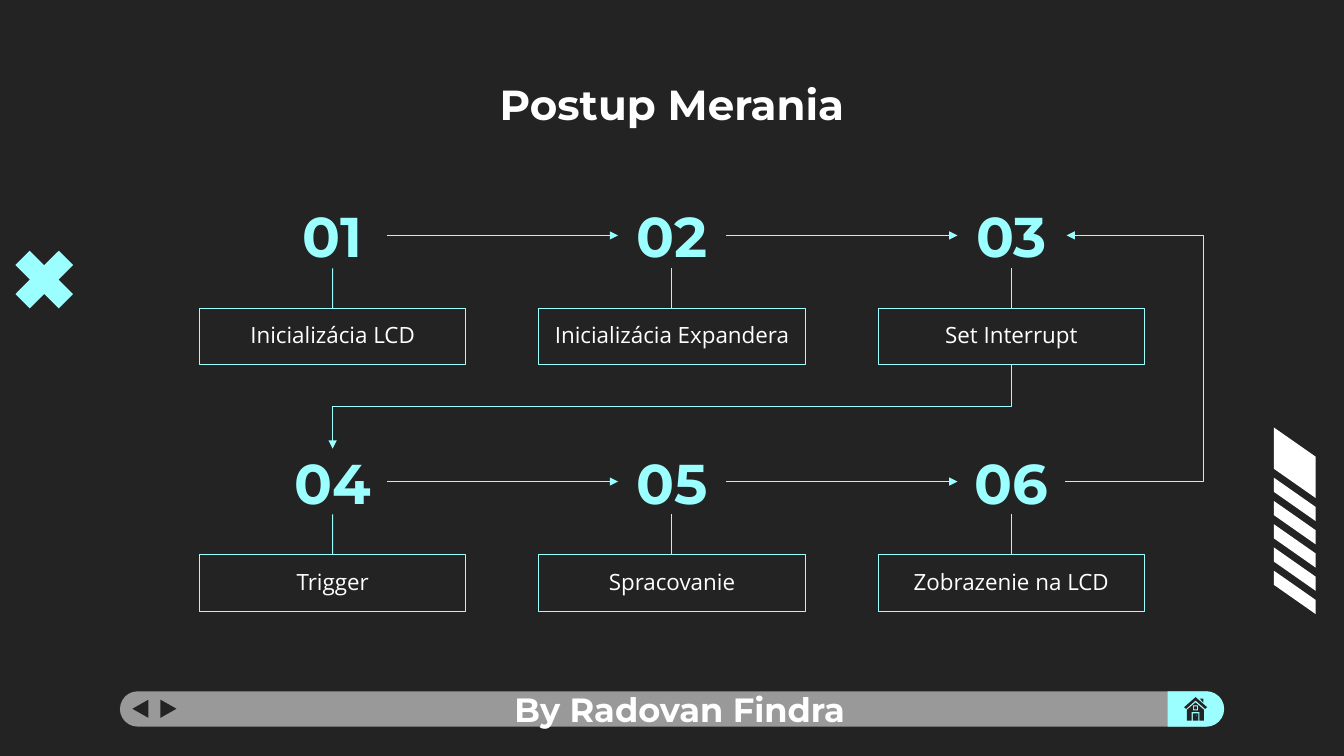
"""Build the measurement procedure slide: six numbered steps joined by arrows."""
import pptx
import pptx.dml.color
import pptx.enum.shapes
import pptx.enum.text
import pptx.oxml
import pptx.oxml.ns
import pptx.util

Pt = pptx.util.Pt
SHAPE = pptx.enum.shapes.MSO_SHAPE
CONNECTOR = pptx.enum.shapes.MSO_CONNECTOR
ANCHOR = pptx.enum.text.MSO_ANCHOR
COLORS = {"dark": "232323", "cyan": "9CFFFF", "grey": "999999", "white": "FFFFFF"}
FORMATS = {
    "title": {"name": "Montserrat", "size": Pt(30), "bold": True},
    "number": {"name": "Montserrat", "size": Pt(40), "bold": True},
    "label": {"name": "Open Sans", "size": Pt(16), "bold": False},
    "author": {"name": "Montserrat", "size": Pt(24), "bold": True},
}
STEPS = ["Inicializácia LCD", "Inicializácia Expandera", "Set Interrupt",
         "Trigger", "Spracovanie", "Zobrazenie na LCD"]
CENTER, COLUMN_STEP, ROW_STEP = 480, 242.4, 175.8
NUMBER_TOP, NUMBER_W, NUMBER_H = 144.7, 77, 47
LABEL_TOP, LABEL_W, LABEL_H = 220.3, 190.4, 40.4


def rgb(color):
    return pptx.dml.color.RGBColor.from_string(COLORS[color])


def paint(shape, color):
    shape.shadow.inherit = False
    shape.fill.solid()
    shape.fill.fore_color.rgb = rgb(color)
    shape.line.fill.background()


def add_solid(slide, preset, box, color, rotation=0):
    shape = slide.shapes.add_shape(preset, *map(Pt, box))
    paint(shape, color)
    shape.rotation = rotation
    return shape


def add_outline(slide, contours, color):
    start, *rest = contours[0]
    builder = slide.shapes.build_freeform(Pt(start[0]), Pt(start[1]), 1.0)
    builder.add_line_segments([(Pt(x), Pt(y)) for x, y in rest])
    for start, *rest in contours[1:]:
        builder.move_to(Pt(start[0]), Pt(start[1]))
        builder.add_line_segments([(Pt(x), Pt(y)) for x, y in rest])
    paint(builder.convert_to_shape(), color)


def write(shape, text, style, color, inset=9.4, anchor=ANCHOR.TOP):
    frame = shape.text_frame
    layout = {"word_wrap": True, "vertical_anchor": anchor}
    layout.update({f"margin_{side}": Pt(inset) for side in ("left", "top", "right", "bottom")})
    for key, value in layout.items():
        setattr(frame, key, value)
    paragraph = frame.paragraphs[0]
    paragraph.alignment = pptx.enum.text.PP_ALIGN.CENTER
    run = paragraph.add_run()
    run.text = text
    for key, value in FORMATS[style].items():
        setattr(run.font, key, value)
    run.font.color.rgb = rgb(color)
    return paragraph


def add_text(slide, box, *content, **layout):
    text_box = slide.shapes.add_textbox(*map(Pt, box))
    return text_box, write(text_box, *content, **layout)


def add_label(slide, box, text):
    label = slide.shapes.add_shape(SHAPE.RECTANGLE, *map(Pt, box))
    label.shadow.inherit = False
    label.fill.background()
    label.line.color.rgb = rgb("cyan")
    label.line.width = Pt(0.75)
    write(label, text, "label", "white")
    return label


def add_link(slide, kind, points, arrow=True):
    link = slide.shapes.add_connector(kind, *map(Pt, points))
    link.line.color.rgb = rgb("cyan")
    link.line.width = Pt(0.75)
    if arrow:
        tail = pptx.oxml.parse_xml(f'<a:tailEnd {pptx.oxml.ns.nsdecls("a")} type="triangle"/>')
        link.line._get_or_add_ln().append(tail)
    effects = pptx.oxml.parse_xml(f'<a:effectLst {pptx.oxml.ns.nsdecls("a")}/>')
    link._element.spPr.append(effects)
    return link


def join(slide, begin, begin_side, end, end_side, arrow=True):
    link = add_link(slide, CONNECTOR.STRAIGHT, (0, 0, 0, 0), arrow)
    link.begin_connect(begin, begin_side)
    link.end_connect(end, end_side)


def add_steps(slide):
    numbers = []
    for index, text in enumerate(STEPS):
        row, column = divmod(index, 3)
        middle = CENTER + (column - 1) * COLUMN_STEP
        drop = row * ROW_STEP
        number, _ = add_text(
            slide, (middle - NUMBER_W / 2, NUMBER_TOP + drop, NUMBER_W, NUMBER_H),
            f"{index + 1:02}", "number", "cyan", anchor=ANCHOR.MIDDLE)
        label = add_label(
            slide, (middle - LABEL_W / 2, LABEL_TOP + drop, LABEL_W, LABEL_H), text)
        join(slide, label, 0, number, 2, arrow=False)
        if column:
            join(slide, numbers[-1], 3, number, 1)
        numbers.append(number)


def add_returns(slide):
    top, bottom = LABEL_TOP + LABEL_H, NUMBER_TOP + ROW_STEP
    middle, half_drop = (top + bottom) / 2, (bottom - top) / 2
    next_row = add_link(slide, CONNECTOR.ELBOW, (
        CENTER - half_drop, middle - COLUMN_STEP,
        CENTER + half_drop, middle + COLUMN_STEP))
    next_row._element.spPr.find(pptx.oxml.ns.qn("a:xfrm")).set("rot", "5400000")

    right = CENTER + COLUMN_STEP + NUMBER_W / 2
    level = NUMBER_TOP + NUMBER_H / 2
    loop = add_link(slide, CONNECTOR.ELBOW, (right, level + ROW_STEP, right + 1, level))
    guides = loop._element.spPr.find(pptx.oxml.ns.qn("a:prstGeom")).get_or_add_avLst()
    guides.append(pptx.oxml.parse_xml(
        f'<a:gd {pptx.oxml.ns.nsdecls("a")} name="adj1" fmla="val 9940000"/>'))


def rectangle(left, top, right, bottom):
    return [(left, top), (right, top), (right, bottom), (left, bottom), (left, top)]


def add_house(slide):
    roof = [(854, 498), (862.2, 505.2), (860.8, 506.4), (854, 500.4),
            (847.2, 506.4), (845.8, 505.2), (854, 498)]
    walls = [(854, 501.8), (860, 507), (860, 514.8), (856.8, 514.8), (856.8, 508.4),
             (851.2, 508.4), (851.2, 514.8), (847.8, 514.8), (847.8, 507), (854, 501.8)]
    window = rectangle(852, 503.9, 855.8, 507.5)
    chimney = [(857, 499), (859.6, 499), (859.6, 501.8), (857, 499)]
    door = rectangle(852, 509.6, 856, 514.8)
    knob = rectangle(854.4, 510.8, 855, 511.4)
    for contours in ([roof], [walls, window], [chimney], [door, knob],
                     [rectangle(852.7, 504.6, 855, 506.8)]):
        add_outline(slide, contours, "dark")


def add_decor(slide):
    bar = add_solid(slide, SHAPE.ROUNDED_RECTANGLE, (85.7, 493.8, 788.4, 25.2), "grey")
    home = add_solid(slide, SHAPE.ROUND_2_SAME_RECTANGLE, (841.6, 486.2, 25.2, 40.4), "cyan", 90)
    for rounded in (bar, home):
        rounded.adjustments[0] = 0.5
    for left, rotation in ((93.8, 270), (113.8, 90)):
        add_solid(slide, SHAPE.ISOSCELES_TRIANGLE, (left, 500.5, 13, 11.5), "dark", rotation)
    add_house(slide)

    tips = [(-10.4, -20.6), (0, -10.2), (10.4, -20.6), (20.6, -10.4), (10.2, 0), (20.6, 10.4),
            (10.4, 20.6), (0, 10.2), (-10.4, 20.6), (-20.6, 10.4), (-10.2, 0), (-20.6, -10.4)]
    add_outline(slide, [[(31.6 + x, 199.7 + y) for x, y in tips + tips[:1]]], "cyan")

    stripes = [(305.4, 29.5)] + [(341.3 + 16.6 * index, 10.1) for index in range(5)]
    left, right, slant = 910, 939.7, 20.8
    for top, height in stripes:
        add_outline(slide, [[(left, top), (left, top + height), (right, top + height + slant),
                             (right, top + slant), (left, top)]], "white")


def main():
    deck = pptx.Presentation()
    deck.slide_width, deck.slide_height = Pt(960), Pt(540)
    slide = deck.slides.add_slide(deck.slide_layouts[6])
    slide.background.fill.solid()
    slide.background.fill.fore_color.rgb = rgb("dark")
    add_decor(slide)
    add_text(slide, (75.6, 46.8, 808.8, 60.5), "Postup Merania", "title", "white")
    add_steps(slide)
    add_returns(slide)
    _, author = add_text(slide, (241.9, 484.6, 475.2, 49.7),
                         "By Radovan Findra", "author", "white", inset=7.2)
    for key, value in {"marL": Pt(36), "indent": Pt(-24)}.items():
        author._p.get_or_add_pPr().set(key, str(value))
    deck.save("out.pptx")


if __name__ == "__main__":
    main()
